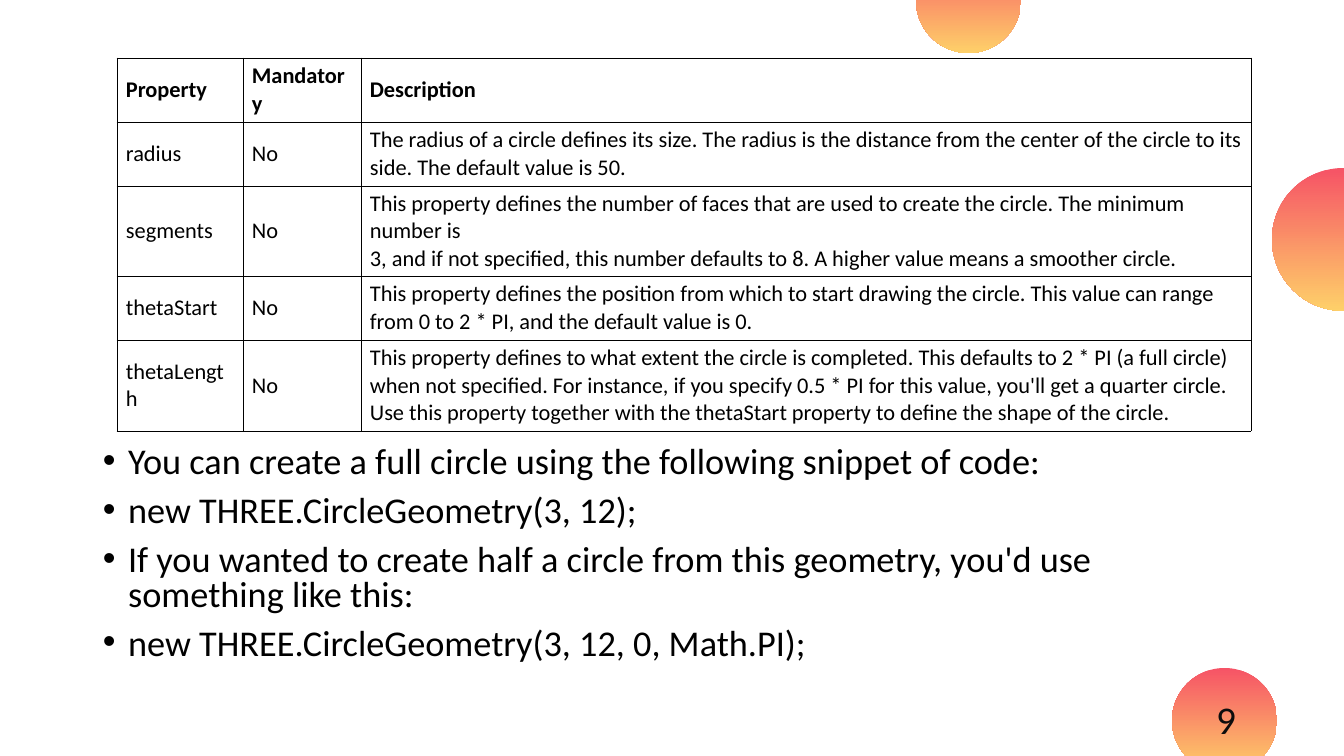
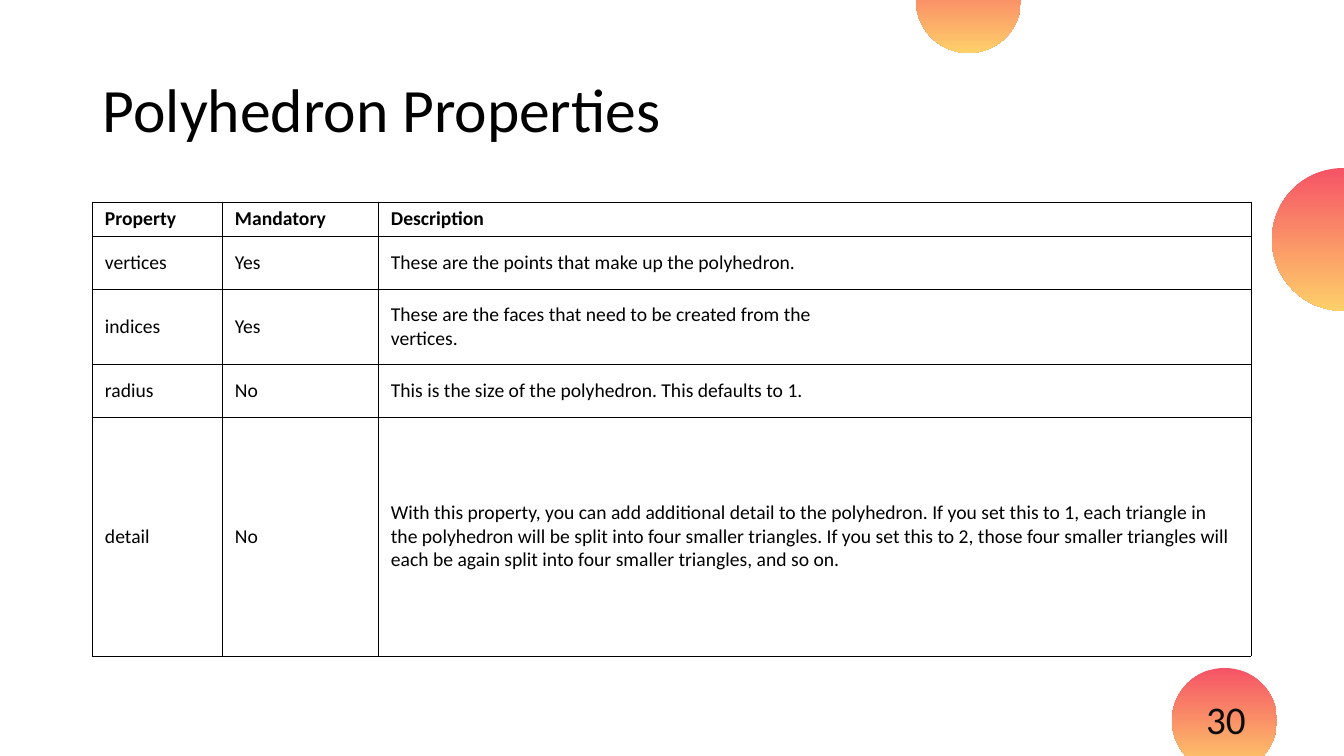
from lxml.etree import SubElement
from pptx import Presentation
from pptx.dml.color import RGBColor
from pptx.enum.shapes import MSO_SHAPE
from pptx.enum.text import MSO_ANCHOR, PP_ALIGN
from pptx.oxml.ns import qn
from pptx.util import Emu, Pt

HEAD = ("Property", "Mandatory", "Description")
CIRCLE = [
    HEAD,
    ("radius", "No", "The radius of a circle defines its size. The radius is the distance "
     "from the center of the circle to its side. The default value is 50."),
    ("segments", "No", "This property defines the number of faces that are used to create "
     "the circle. The minimum number is\v3, and if not specified, this number defaults to 8. "
     "A higher value means a smoother circle."),
    ("thetaStart", "No", "This property defines the position from which to start drawing "
     "the circle. This value can range from 0 to 2 * PI, and the default value is 0."),
    ("thetaLength", "No", "This property defines to what extent the circle is completed. "
     "This defaults to 2 * PI (a full circle) when not specified. For instance, if you "
     "specify 0.5 * PI for this value, you'll get a quarter circle. Use this property "
     "together with the thetaStart property to define the shape of the circle."),
]
POINTS = [
    "You can create a full circle using the following snippet of code:",
    "new THREE.CircleGeometry(3, 12);",
    "If you wanted to create half a circle from this geometry, you'd use something like this:",
    "new THREE.CircleGeometry(3, 12, 0, Math.PI);",
]
TITLE = "Polyhedron Properties"
POLY = [
    HEAD,
    ("vertices", "Yes", "These are the points that make up the polyhedron."),
    ("indices", "Yes", "These are the faces that need to be created from the\vvertices."),
    ("radius", "No", "This is the size of the polyhedron. This defaults to 1."),
    ("detail", "No", "With this property, you can add additional detail to the polyhedron. "
     "If you set this to 1, each triangle in the polyhedron will be split into four smaller "
     "triangles. If you set this to 2, those four smaller triangles will each be again split "
     "into four smaller triangles, and so on."),
]
BALLS = [(1172, 668, 105), (1272, 168, 143), (916, -52, 105)]

FONT = "Calibri"
BLACK = RGBColor(0x00, 0x00, 0x00)
INK = RGBColor(0x0D, 0x0D, 0x0D)
ROSE = RGBColor(0xF6, 0x53, 0x66)
GOLD = RGBColor(0xFE, 0xD0, 0x69)


def px(n):
    return Emu(round(n * 914400 / 100.8))


def style(frame, size, color=BLACK, bold=False):
    for para in frame.paragraphs:
        for run in para.runs:
            font = run.font
            font.name, font.size, font.bold = FONT, Pt(size), bold
            font.color.rgb = color


def add_text(slide, box, text, size, color=BLACK, anchor=MSO_ANCHOR.MIDDLE):
    frame = slide.shapes.add_textbox(*map(px, box)).text_frame
    frame.word_wrap = True
    frame.vertical_anchor = anchor
    frame.text = text
    style(frame, size, color)
    return frame


def add_base(deck, number):
    slide = deck.slides.add_slide(deck.slide_layouts[6])
    for left, top, size in BALLS:
        ball = slide.shapes.add_shape(MSO_SHAPE.OVAL, *map(px, (left, top, size, size)))
        ball.shadow.inherit = False
        ball.line.fill.background()
        ball.fill.gradient()
        ball.fill.gradient_angle = 270
        for stop, color in zip(ball.fill.gradient_stops, (ROSE, GOLD)):
            stop.color.rgb = color
    frame = add_text(slide, (1184, 699, 84, 40), str(number), 28, INK)
    frame.paragraphs[0].alignment = PP_ALIGN.CENTER
    return slide


def add_border(cell):
    props = cell._tc.get_or_add_tcPr()
    for side in "LRTB":
        line = SubElement(props, qn("a:ln" + side), w=str(Pt(0.5)))
        fill = SubElement(line, qn("a:solidFill"))
        SubElement(fill, qn("a:srgbClr"), val=str(BLACK))


def add_grid(slide, left, top, cols, rows, data, size, pad):
    box = map(px, (left, top, sum(cols), sum(rows)))
    table = slide.shapes.add_table(len(rows), len(cols), *box).table
    for col, width in zip(table.columns, cols):
        col.width = px(width)
    for row, height in zip(table.rows, rows):
        row.height = px(height)
    for r, line in enumerate(data):
        for c, text in enumerate(line):
            cell = table.cell(r, c)
            add_border(cell)
            cell.fill.background()
            cell.vertical_anchor = MSO_ANCHOR.MIDDLE
            cell.margin_left = cell.margin_right = px(pad[0])
            cell.margin_top = cell.margin_bottom = px(pad[1])
            cell.text_frame.text = text
            style(cell.text_frame, size, bold=r == 0)


def add_list(slide, box, lines):
    frame = add_text(slide, box, "\n".join(lines), 25.9, anchor=MSO_ANCHOR.TOP)
    for para in frame.paragraphs:
        para.line_spacing = 0.8
        para.space_before = Pt(10)
        props = para._p.get_or_add_pPr()
        props.set("marL", str(Pt(18)))
        props.set("indent", str(-Pt(18)))
        SubElement(props, qn("a:buFont"), typeface="Arial")
        SubElement(props, qn("a:buChar"), char="•")


deck = Presentation()
deck.slide_width, deck.slide_height = px(1344), px(756)

slide = add_base(deck, 9)
add_grid(slide, 117, 58, (126, 118, 890), (64, 64, 90, 64, 91), CIRCLE, 16, (9, 4))
add_list(slide, (93, 442, 1159, 239), POINTS)

slide = add_base(deck, 30)
frame = add_text(slide, (93, 40, 1159, 146), TITLE, 44)
frame.paragraphs[0].line_spacing = 0.9
add_grid(slide, 92, 202, (130, 156, 873), (34, 53, 75, 53, 239), POLY, 14, (13, 5))

deck.save("out.pptx")
